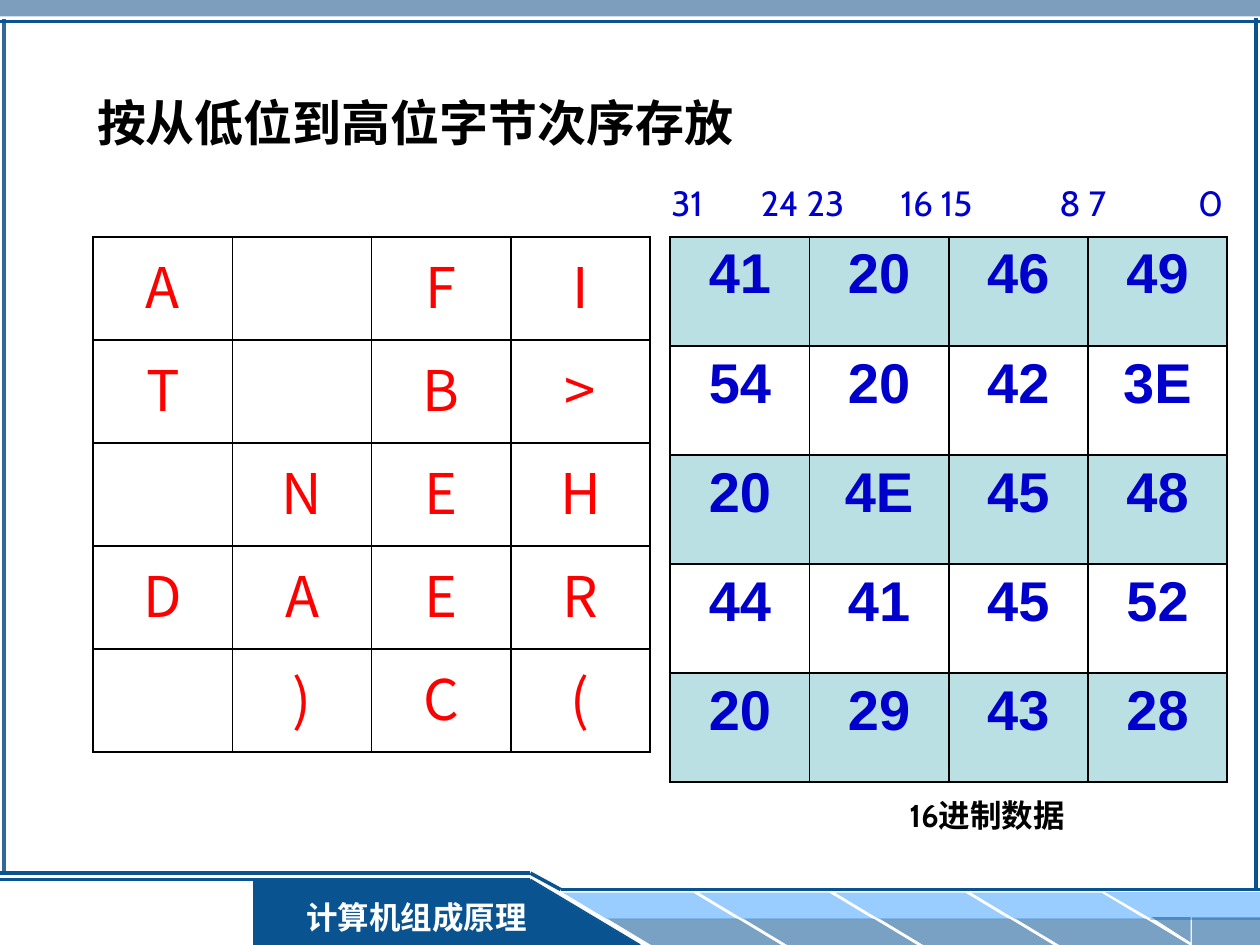
import pptx
import pptx.util
import pptx.dml.color
import pptx.enum.shapes
import pptx.enum.text
import pptx.oxml
import pptx.oxml.ns

THEME = {
    "navy": "095391", "steel": "336699", "sky": "99CCFF", "mint": "BBE0E3",
    "black": "000000", "white": "FFFFFF", "red": "FF0000", "blue": "0000CC",
    "cjk": "Noto Sans CJK SC", "border_pt": 1.08,
    "title": {"size": 28, "name": "Cabin", "bold": True, "color": "black"},
    "caption": {"size": 18, "name": "Cabin", "bold": True, "color": "black"},
    "bits": {"size": 20, "name": "Cabin", "bold": False, "color": "blue"},
    "footer": {"size": 18, "name": "Times New Roman", "bold": True, "color": "white"},
    "letter": {"size": 32, "name": "Noto Sans CJK SC", "bold": False, "color": "red"},
    "hex": {"size": 32, "name": "Arial", "bold": True, "color": "blue"},
}
W, H = 10, 7.5
TITLE = "按从低位到高位字节次序存放"
CAPTION = "16进制数据"
FOOTER = "计算机组成原理"
LETTERS = [
    ["A", "", "F", "I"],
    ["T", "", "B", ">"],
    ["", "N", "E", "H"],
    ["D", "A", "E", "R"],
    ["", ")", "C", "("],
]
HEX_BYTES = [
    ["41", "20", "46", "49"],
    ["54", "20", "42", "3E"],
    ["20", "4E", "45", "48"],
    ["44", "41", "45", "52"],
    ["20", "29", "43", "28"],
]
BIT_LABELS = [("31", 5.23, 0.6), ("24 23", 5.94, 1), ("16 15", 7.05, 1.1),
              ("8 7", 8.31, 0.79), ("0", 9.41, 0.45)]
# colour, weight, start x, start y, end x, end y
FRAME_LINES = [
    ("steel", 2, 0.03, 0.15, 0.03, 6.93),
    ("navy", 1, 5.08, H, 4.21, 6.98),
    ("navy", 1.5, 4.21, 6.98, 0, 6.98),
    ("navy", 2, 0, 6.93, 4.21, 6.93),
    ("navy", 2, 4.21, 6.93, 4.45, 7.06),
    ("navy", 2, 4.45, 7.06, W, 7.06),
    ("navy", 2, 0, 0.17, W, 0.17),
    ("navy", 2, 9.97, 0.14, 9.97, 7.07),
]
SKY, SHADE = ("sky", 100), ("navy", 54)
KIND = pptx.enum.shapes.MSO_SHAPE
ALIGN = pptx.enum.text.PP_ALIGN
MIDDLE = pptx.enum.text.MSO_ANCHOR.MIDDLE
inch = pptx.util.Inches


def rgb(name):
    return pptx.dml.color.RGBColor.from_string(THEME[name])


def child(parent, tag, **attributes):
    element = pptx.oxml.ns.qn(tag)
    node = parent.makeelement(element, attributes)
    parent.append(node)
    return node


def write(tf, text, style, align):
    p = tf.paragraphs[0]
    p.alignment = align
    r = p.add_run()
    r.text = text
    fmt = THEME[style]
    values = {"size": pptx.util.Pt(fmt["size"]), "name": fmt["name"], "bold": fmt["bold"]}
    for key, value in values.items():
        setattr(r.font, key, value)
    r.font.color.rgb = rgb(fmt["color"])
    child(r.font._element, "a:ea", typeface=THEME["cjk"])


def add_block(s, kind, box, color, opacity=100, flip=""):
    """Add a borderless filled shape; flip holds "h" and/or "v"."""
    sp = s.shapes.add_shape(kind, *map(inch, box))
    sp.shadow.inherit = False
    sp.fill.solid()
    sp.fill.fore_color.rgb = rgb(color)
    sp.line.fill.background()
    if opacity < 100:
        solid = sp.fill._xPr.find(pptx.oxml.ns.qn("a:solidFill"))
        child(solid[0], "a:alpha", val=str(opacity * 1000))
    for axis in flip:
        sp._element.spPr.xfrm.set("flip" + axis.upper(), "1")
    return sp


def add_line(s, color, weight, *ends):
    line = s.shapes.add_connector(pptx.enum.shapes.MSO_CONNECTOR.STRAIGHT, *map(inch, ends))
    line.line.color.rgb = rgb(color)
    line.line.width = pptx.util.Pt(weight)
    child(line._element.spPr, "a:effectLst")


def add_label(s, text, box, style):
    tf = s.shapes.add_textbox(*map(inch, box)).text_frame
    tf.word_wrap = True
    tf.vertical_anchor = MIDDLE
    write(tf, text, style, ALIGN.LEFT)


def add_borders(cell):
    tcPr = cell._tc.get_or_add_tcPr()
    width = str(pptx.util.Pt(THEME["border_pt"]))
    for i, side in enumerate(("a:lnL", "a:lnR", "a:lnT", "a:lnB")):
        ln = child(tcPr, side, w=width)
        child(child(ln, "a:solidFill"), "a:srgbClr", val=THEME["black"])
        tcPr.insert(i, ln)


def add_grid(s, rows, box, style, band=None):
    """Add a bordered table; band colours every other row from the first."""
    table = s.shapes.add_table(len(rows), len(rows[0]), *map(inch, box)).table
    table.first_row = table.horz_banding = False
    for column in table.columns:
        column.width = inch(box[2] / len(rows[0]))
    for i, values in enumerate(rows):
        table.rows[i].height = inch(box[3] / len(rows))
        for j, text in enumerate(values):
            cell = table.cell(i, j)
            if band and i % 2 == 0:
                cell.fill.solid()
                cell.fill.fore_color.rgb = rgb(band)
            else:
                cell.fill.background()
            add_borders(cell)
            if text:
                write(cell.text_frame, text, style, ALIGN.CENTER)


def add_frame(s):
    add_block(s, KIND.RECTANGLE, (0, 0, W, 0.13), "steel", 63)
    add_block(s, KIND.RECTANGLE, (2.01, 6.98, 2.2, 0.52), "navy")
    for i in range(4):
        x = 4.47 + 1.08 * i
        for left, top, paint in ((x, 7.085, SKY), (x + 0.35, 7.29, SHADE)):
            stripe = add_block(s, KIND.PARALLELOGRAM, (left, top, 1.38, 0.21), *paint, flip="h")
            stripe.adjustments[0] = 1.66
    for left, top, width, paint in ((9.13, 7.08, 0.87, SKY), (9.46, 7.28, 0.54, SHADE)):
        add_block(s, KIND.RECTANGLE, (left, top, width, 0.22), *paint)
    for box, paint in (((8.77, 7.08, 0.38, 0.22), SKY), ((9.14, 7.28, 0.31, 0.2), SHADE)):
        add_block(s, KIND.RIGHT_TRIANGLE, box, *paint, flip="hv")
    add_block(s, KIND.RIGHT_TRIANGLE, (4.2, 6.98, 0.87, 0.52), "navy")
    for line in FRAME_LINES:
        add_line(s, *line)
    footer = add_block(s, KIND.RECTANGLE, (2.28, 7.08, 2.05, 0.4), "navy")
    footer.text_frame.vertical_anchor = MIDDLE
    write(footer.text_frame, FOOTER, "footer", ALIGN.CENTER)


def main():
    prs = pptx.Presentation()
    prs.slide_width, prs.slide_height = inch(W), inch(H)
    s = prs.slides.add_slide(prs.slide_layouts[5])
    add_frame(s)

    title = s.shapes.title
    for key, value in zip(("left", "top", "width", "height"), (0.67, 0.68, 5.83, 0.57)):
        setattr(title, key, inch(value))
    title.text_frame.auto_size = pptx.enum.text.MSO_AUTO_SIZE.NONE
    title.text_frame.vertical_anchor = MIDDLE
    write(title.text_frame, TITLE, "title", ALIGN.LEFT)

    add_grid(s, LETTERS, (0.74, 1.88, 4.42, 4.09), "letter")
    add_grid(s, HEX_BYTES, (5.32, 1.88, 4.42, 4.33), "hex", "mint")
    for text, left, width in BIT_LABELS:
        add_label(s, text, (left, 1.39, width, 0.44), "bits")
    add_label(s, CAPTION, (7.12, 6.27, 1.6, 0.4), "caption")
    prs.save("out.pptx")


if __name__ == "__main__":
    main()
